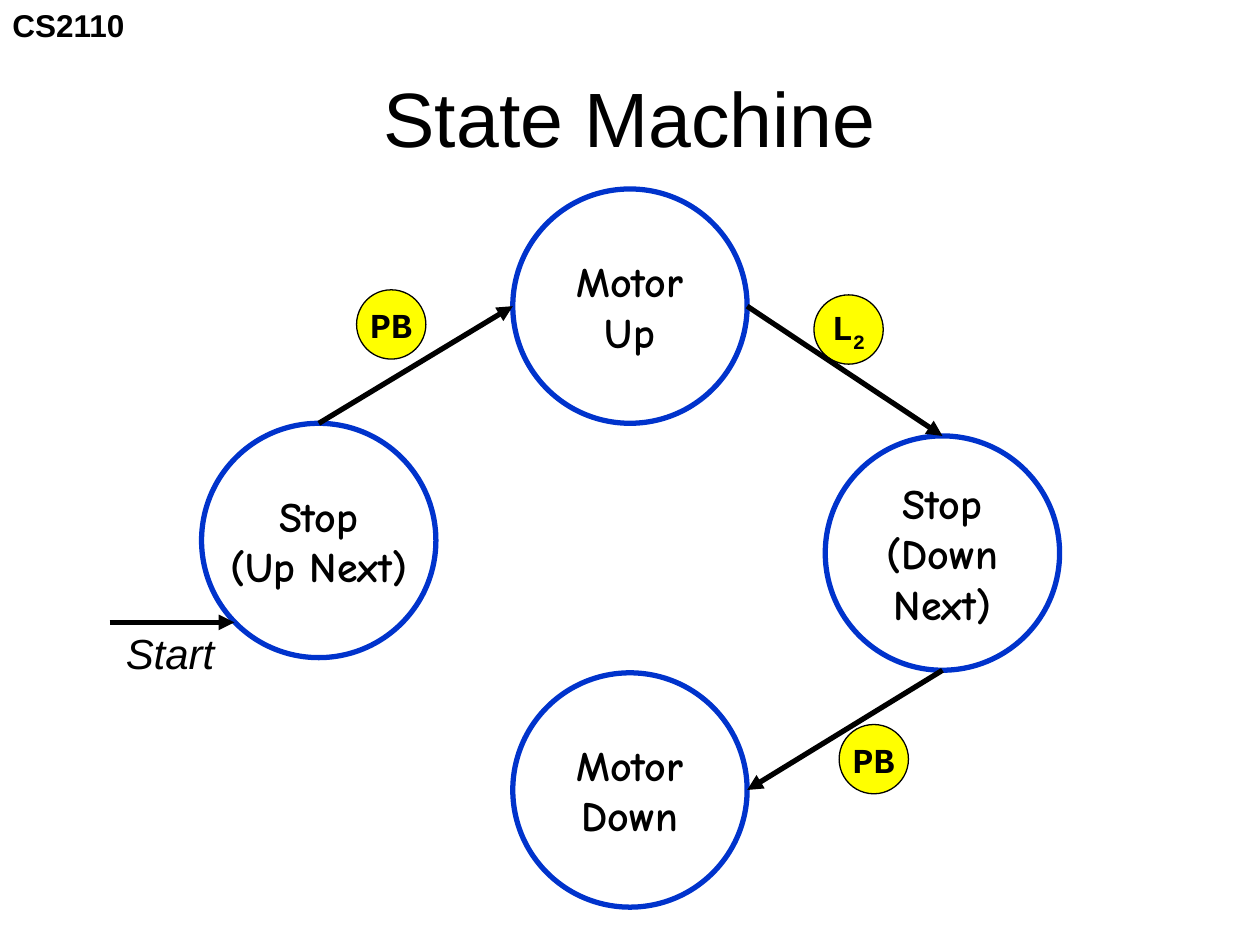
from dataclasses import dataclass

from lxml.etree import SubElement
from pptx import Presentation
from pptx.dml.color import RGBColor
from pptx.enum.shapes import MSO_CONNECTOR, MSO_SHAPE
from pptx.enum.text import MSO_ANCHOR, MSO_AUTO_SIZE, PP_ALIGN
from pptx.oxml.ns import qn
from pptx.util import Inches, Pt


@dataclass(frozen=True)
class Theme:
    ink: RGBColor = RGBColor(0x00, 0x00, 0x00)
    state_line: RGBColor = RGBColor(0x00, 0x33, 0xCC)
    badge_fill: RGBColor = RGBColor(0xFF, 0xFF, 0x00)
    text_font: str = "Arial"
    state_font: str = "Comic Neue"
    badge_font: str = "Courier New"
    title_size: int = 44
    state_size: int = 24
    badge_size: int = 20
    course_size: int = 18
    thick: float = 3
    thin: float = 0.75


@dataclass(frozen=True)
class Circle:
    """A circle on the grid, with the points where arrows meet it."""
    x: float
    y: float
    radius: float

    @property
    def top(self):
        return self.x, self.y - self.radius

    @property
    def bottom(self):
        return self.x, self.y + self.radius

    @property
    def left(self):
        return self.x - self.radius, self.y

    @property
    def right(self):
        return self.x + self.radius, self.y


class Diagram:
    """Draws on a grid of 100 columns by 75 rows."""
    COLUMNS, ROWS = 100, 75
    STATE_RADIUS, BADGE_RADIUS = 9.3, 2.75

    def __init__(self, presentation, theme):
        self.theme = theme
        self.column = presentation.slide_width / self.COLUMNS
        self.row = presentation.slide_height / self.ROWS
        self.slide = presentation.slides.add_slide(presentation.slide_layouts[6])

    def place(self, *lengths):
        """Turn alternating column and row counts into slide lengths."""
        units = (self.column, self.row) * 2
        return [round(length * unit) for length, unit in zip(lengths, units)]

    def style(self, paragraph, font, size, bold=False, italic=False):
        paragraph.font.name = font
        paragraph.font.size = Pt(size)
        paragraph.font.bold = bold
        paragraph.font.italic = italic
        paragraph.font.color.rgb = self.theme.ink

    def text(self, content, box, size, centred=False, **emphasis):
        frame = self.slide.shapes.add_textbox(*self.place(*box)).text_frame
        frame.word_wrap = centred
        frame.auto_size = MSO_AUTO_SIZE.NONE if centred else MSO_AUTO_SIZE.SHAPE_TO_FIT_TEXT
        frame.vertical_anchor = MSO_ANCHOR.MIDDLE if centred else MSO_ANCHOR.TOP
        paragraph = frame.paragraphs[0]
        paragraph.text = content
        paragraph.alignment = PP_ALIGN.CENTER if centred else PP_ALIGN.LEFT
        self.style(paragraph, self.theme.text_font, size, **emphasis)

    def circle(self, circle, lines, font, size, line_color, line_width, fill=None):
        diameter = 2 * circle.radius
        shape = self.slide.shapes.add_shape(MSO_SHAPE.OVAL, *self.place(
            circle.left[0], circle.top[1], diameter, diameter))
        shape.shadow.inherit = False
        if fill is None:
            shape.fill.background()
        else:
            shape.fill.solid()
            shape.fill.fore_color.rgb = fill
        shape.line.color.rgb = line_color
        shape.line.width = Pt(line_width)
        frame = shape.text_frame
        frame.word_wrap = False
        frame.vertical_anchor = MSO_ANCHOR.MIDDLE
        frame.text = "\n".join(lines)
        for paragraph in frame.paragraphs:
            paragraph.alignment = PP_ALIGN.CENTER
            self.style(paragraph, font, size, bold=True)
        return shape

    def state(self, x, y, *lines):
        circle = Circle(x, y, self.STATE_RADIUS)
        self.circle(circle, lines, self.theme.state_font, self.theme.state_size,
                    self.theme.state_line, self.theme.thick)
        return circle

    def badge(self, x, y, label, subscript=""):
        shape = self.circle(Circle(x, y, self.BADGE_RADIUS), [label],
                            self.theme.badge_font, self.theme.badge_size,
                            self.theme.ink, self.theme.thin, self.theme.badge_fill)
        if subscript:
            run = shape.text_frame.paragraphs[0].add_run()
            run.text = subscript
            run._r.get_or_add_rPr().set("baseline", "-25000")

    def arrow(self, start, end):
        connector = self.slide.shapes.add_connector(
            MSO_CONNECTOR.STRAIGHT, *self.place(*start, *end))
        connector.line.color.rgb = self.theme.ink
        connector.line.width = Pt(self.theme.thick)
        SubElement(connector.line._get_or_add_ln(), qn("a:tailEnd"), type="triangle")
        SubElement(connector._element.spPr, qn("a:effectLst"))


def main():
    presentation = Presentation()
    presentation.slide_width, presentation.slide_height = Inches(10), Inches(7.5)
    theme = Theme()
    diagram = Diagram(presentation, theme)

    # Course name and title
    diagram.text("CS2110", (0, 0, 11, 4), theme.course_size, bold=True)
    diagram.text("State Machine", (5, 3, 90, 12.5), theme.title_size, centred=True)

    # States
    motor_up = diagram.state(50, 24.3, "Motor", "Up")
    motor_down = diagram.state(50, 62.7, "Motor", "Down")
    stop_up_next = diagram.state(25.3, 42.9, "Stop", "(Up Next)")
    stop_down_next = diagram.state(74.8, 43.9, "Stop", "(Down", "Next)")

    # Events
    diagram.badge(31.05, 25.75, "PB")
    diagram.badge(67.35, 26.15, "L", subscript="2")
    diagram.badge(69.35, 60.25, "PB")

    # Transitions
    diagram.arrow(stop_up_next.top, motor_up.left)
    diagram.arrow(motor_up.right, stop_down_next.top)
    diagram.arrow(stop_down_next.bottom, motor_down.right)

    # Entry point
    diagram.arrow((8.7, 49.4), (18.6, 49.4))
    diagram.text("Start", (9, 49.3, 9.4, 5), theme.state_size, italic=True)

    presentation.save("out.pptx")


if __name__ == "__main__":
    main()
